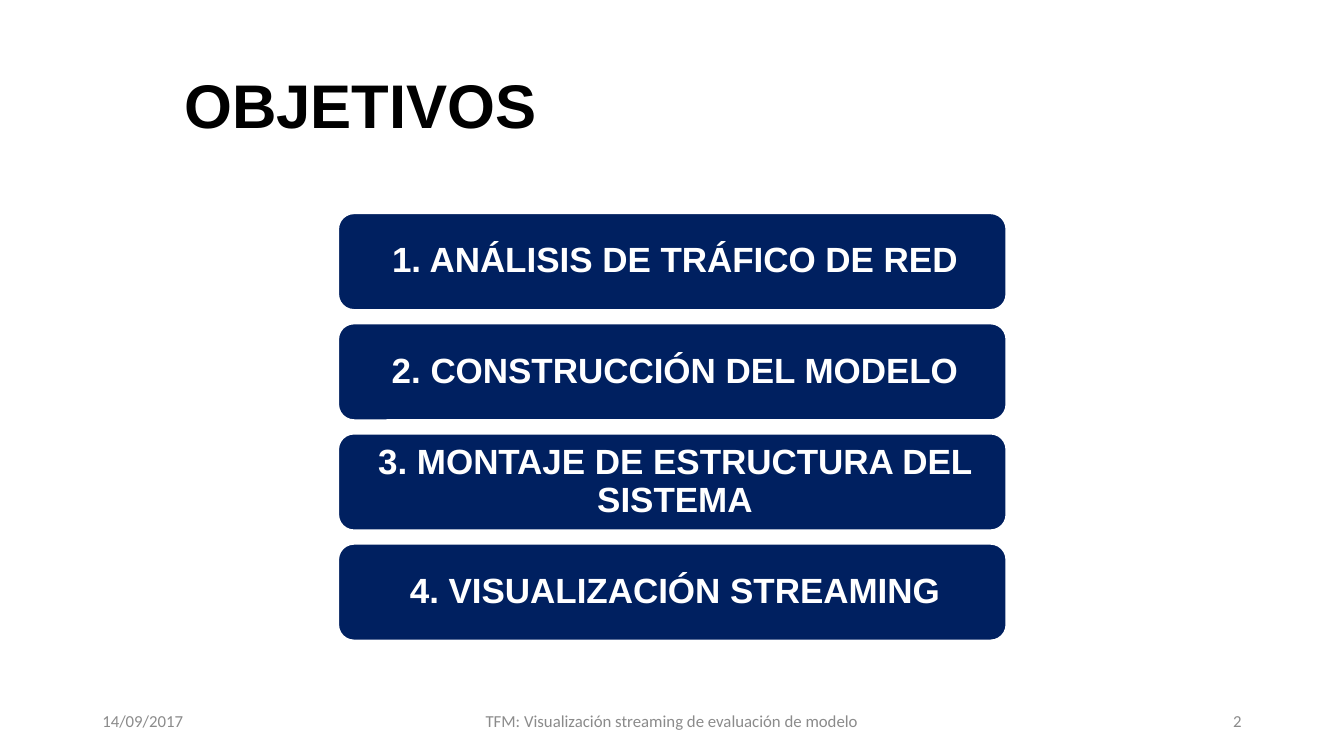
from pptx import Presentation
from pptx.dml.color import RGBColor
from pptx.enum.shapes import MSO_SHAPE as Shape
from pptx.enum.text import MSO_ANCHOR as Anchor, MSO_AUTO_SIZE as AutoSize, PP_ALIGN as Align
from pptx.util import Pt

BLACK = RGBColor(0x00, 0x00, 0x00)
WHITE = RGBColor(0xFF, 0xFF, 0xFF)
NAVY = RGBColor(0x00, 0x20, 0x60)
GREY = RGBColor(0x8B, 0x8B, 0x8B)

TITLE = "OBJETIVOS"
OBJECTIVES = [
    "1. ANÁLISIS DE TRÁFICO DE RED",
    "2. CONSTRUCCIÓN DEL MODELO",
    "3. MONTAJE DE ESTRUCTURA DEL SISTEMA",
    "4. VISUALIZACIÓN STREAMING",
]
# text, left, width, alignment
FOOTER = [
    ("14/09/2017", 66, 216, Align.LEFT),
    ("TFM: Visualización streaming de evaluación de modelo", 318, 324, Align.CENTER),
    ("2", 678, 216, Align.RIGHT),
]

PAGE_WIDTH, PAGE_HEIGHT = 960, 540
TITLE_AREA = (124.5, 32.4, 699, 104.4)
FOOTER_TOP, FOOTER_HEIGHT = 500.5, 28.8
BAR_LEFT, BAR_TOP, BAR_WIDTH, BAR_HEIGHT = 241.2, 152, 478, 69.8
BAR_PITCH = 78.7

TITLE_FONT = {"name": "Arial", "size": Pt(44), "bold": True}
BAR_FONT = {"name": "Arial", "size": Pt(25), "bold": True}
FOOTER_FONT = {"name": "Calibri", "size": Pt(12)}
PLAIN_MARGINS = (7.2, 3.6, 7.2, 3.6)
TITLE_MARGINS = (7.2, 3.6, 7.2, 24.6)
BAR_MARGINS = (10.8, 10.8, 7.2, 10.8)


def write(box, text, font, color, align, margins, line_spacing=1.0):
    """Put one formatted, vertically centred paragraph in a box."""
    frame = box.text_frame
    frame.text = text
    left, top, right, bottom = map(Pt, margins)
    frame_format = {
        "word_wrap": True, "auto_size": AutoSize.NONE, "vertical_anchor": Anchor.MIDDLE,
        "margin_left": left, "margin_top": top,
        "margin_right": right, "margin_bottom": bottom,
    }
    for name, value in frame_format.items():
        setattr(frame, name, value)
    para = frame.paragraphs[0]
    para.alignment = align
    para.line_spacing = line_spacing
    span = para.runs[0]
    for name, value in font.items():
        setattr(span.font, name, value)
    span.font.color.rgb = color


def add_title(page):
    """Place the heading in the title placeholder."""
    box = page.shapes.title
    box.left, box.top, box.width, box.height = map(Pt, TITLE_AREA)
    write(box, TITLE, TITLE_FONT, BLACK, Align.LEFT, TITLE_MARGINS)


def add_objectives(page):
    """Stack one rounded bar per objective at an even pitch."""
    for row, objective in enumerate(OBJECTIVES):
        area = (BAR_LEFT, BAR_TOP + row * BAR_PITCH, BAR_WIDTH, BAR_HEIGHT)
        bar = page.shapes.add_shape(Shape.ROUNDED_RECTANGLE, *map(Pt, area))
        bar.shadow.inherit = False
        bar.fill.solid()
        bar.fill.fore_color.rgb = NAVY
        bar.line.color.rgb = WHITE
        bar.line.width = Pt(2)
        write(bar, objective, BAR_FONT, WHITE, Align.CENTER, BAR_MARGINS, 0.9)


def add_footer(page):
    """Write date, work title and page number along the bottom."""
    for text, left, width, align in FOOTER:
        area = (left, FOOTER_TOP, width, FOOTER_HEIGHT)
        box = page.shapes.add_textbox(*map(Pt, area))
        write(box, text, FOOTER_FONT, GREY, align, PLAIN_MARGINS)


deck = Presentation()
deck.slide_width, deck.slide_height = Pt(PAGE_WIDTH), Pt(PAGE_HEIGHT)
page = deck.slides.add_slide(deck.slide_layouts.get_by_name("Title Only"))
add_title(page)
add_objectives(page)
add_footer(page)
deck.save("out.pptx")
